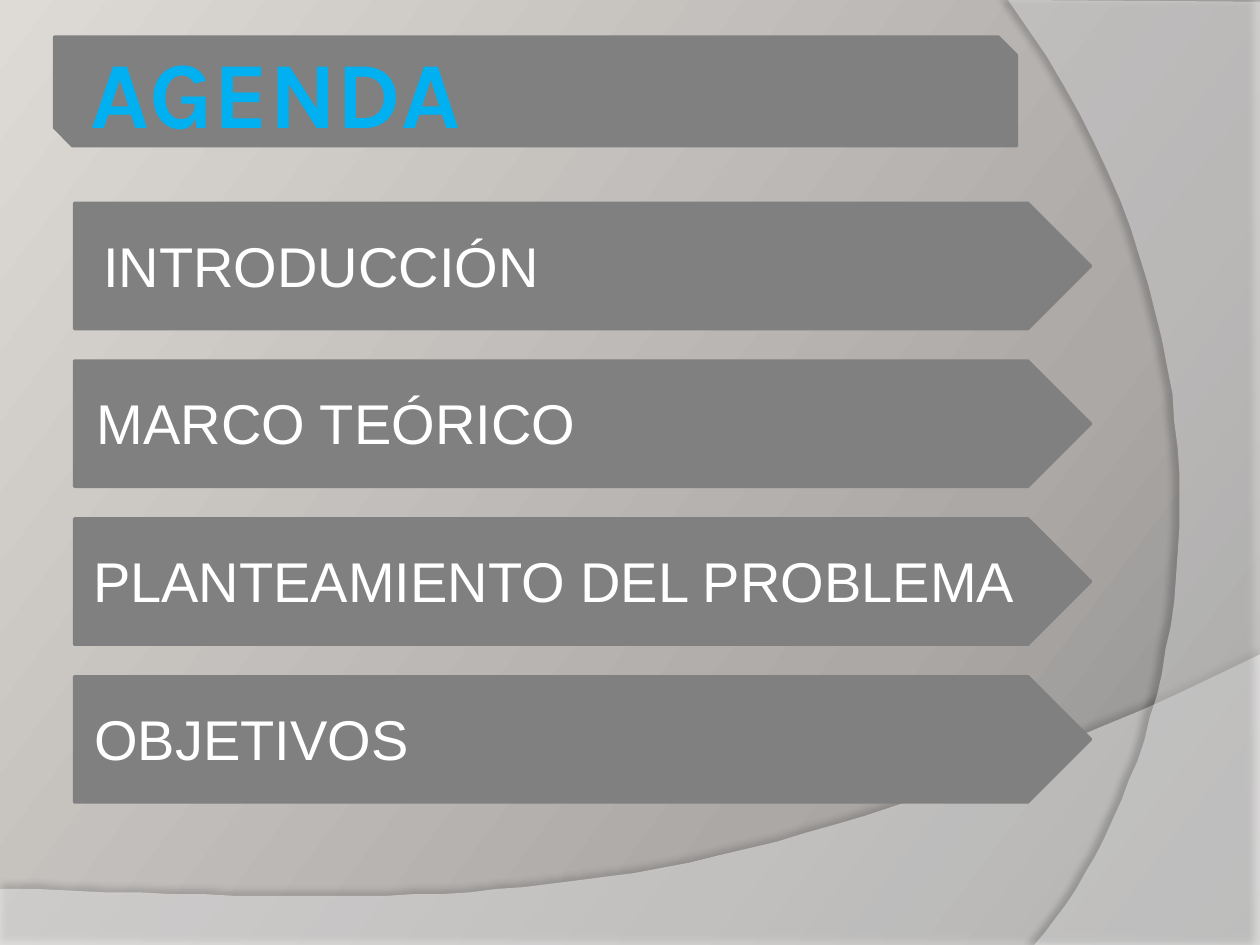
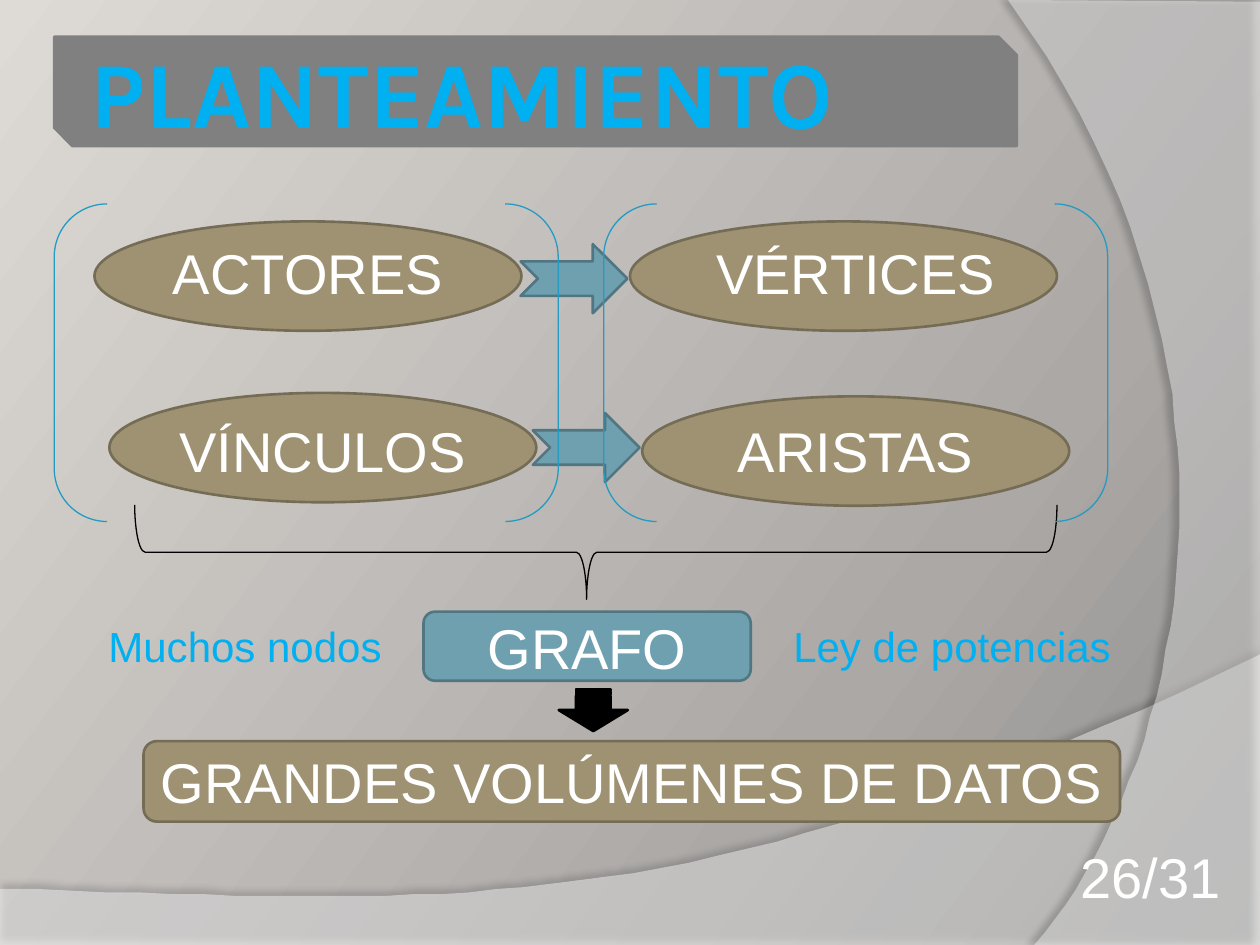
from copy import deepcopy

from lxml.etree import SubElement
from pptx import Presentation
from pptx.dml.color import RGBColor
from pptx.enum.shapes import MSO_SHAPE
from pptx.enum.text import MSO_ANCHOR, PP_ALIGN
from pptx.oxml.ns import qn
from pptx.util import Pt

WIDTH, HEIGHT = 720, 540
BAND, ACCENT, WHITE, BLACK = "808080", "00B0F0", "FFFFFF", "000000"
SAND, SAND_EDGE = "9E9273", "756C55"
TEAL, TEAL_EDGE = "6EA0B0", "517682"
BRACKET = "239BC2"
BACKGROUND = [(0, "8F8D8B"), (0.3, "ABA8A6"), (1, "DEDBD7")]


def color(value):
    return RGBColor.from_string(value)


def add_text(page, text, box, size=32, font="Arial", fill=WHITE, bold=False,
             align=PP_ALIGN.LEFT, anchor=MSO_ANCHOR.TOP, insets=(7.2, 3.6), wrap=True):
    frame = page.shapes.add_textbox(*map(Pt, box)).text_frame
    frame.word_wrap = wrap
    frame.vertical_anchor = anchor
    frame.margin_left = frame.margin_right = Pt(insets[0])
    frame.margin_top = frame.margin_bottom = Pt(insets[1])
    para = frame.paragraphs[0]
    para.alignment = align
    span = para.add_run()
    span.text = text
    span.font.name, span.font.size, span.font.bold = font, Pt(size), bold
    span.font.color.rgb = color(fill)


def add_centered(page, text, box, **style):
    add_text(page, text, box, align=PP_ALIGN.CENTER, wrap=False, **style)


def add_shape(page, kind, box, fill=None, edge=BLACK, weight=1.5, turn=0):
    shape = page.shapes.add_shape(kind, *map(Pt, box))
    shape.shadow.inherit = False
    if fill:
        shape.fill.solid()
        shape.fill.fore_color.rgb = color(fill)
    else:
        shape.fill.background()
    shape.line.color.rgb = color(edge)
    shape.line.width = Pt(weight)
    shape.rotation = turn
    return shape


def curve(start, pull_start, pull_end, end, steps=40):
    """Points along a cubic curve, both ends included."""
    points = []
    for step in range(steps + 1):
        t = step / steps
        weights = (1 - t) ** 3, 3 * t * (1 - t) ** 2, 3 * t * t * (1 - t), t ** 3
        points.append(tuple(sum(w * p for w, p in zip(weights, axis))
                            for axis in zip(start, pull_start, pull_end, end)))
    return points


def add_wave(page, points, opacity, shadow_opacity, distance, direction):
    """Translucent white sheet with a soft shadow."""
    builder = page.shapes.build_freeform(*points[0], scale=float(Pt(1)))
    builder.add_line_segments(points[1:], close=True)
    wave = builder.convert_to_shape()
    wave.shadow.inherit = False
    wave.fill.solid()
    wave.fill.fore_color.rgb = color(WHITE)
    wave.line.fill.background()
    properties = wave.fill._xPr
    tint = properties.find(qn("a:solidFill"))[0]
    SubElement(tint, qn("a:alpha"), val=str(opacity * 1000))
    shadow = SubElement(properties.find(qn("a:effectLst")), qn("a:outerShdw"),
                        blurRad=str(Pt(4)), dist=str(Pt(distance)),
                        dir=str(direction * 60000), algn="ctr", rotWithShape="0")
    shade = SubElement(shadow, qn("a:srgbClr"), val=BLACK)
    SubElement(shade, qn("a:alpha"), val=str(shadow_opacity * 1000))


def add_backdrop(page):
    # Three-stop gradient
    fill = page.background.fill
    fill.gradient()
    fill.gradient_angle = 143
    stop_list = fill._fill._gradFill.find(qn("a:gsLst"))
    stop_list.append(deepcopy(stop_list[-1]))
    for stop, (position, value) in zip(fill.gradient_stops, BACKGROUND):
        stop.position = position
        stop.color.rgb = color(value)
    # Bottom and right sheets
    bottom = curve((WIDTH, 374.4), (402.5, 524.9), (281.5, 517.7), (0, 507.6))
    add_wave(page, bottom + [(0, HEIGHT), (WIDTH, HEIGHT)], 45, 35, 3.5, 270)
    right = curve((591.1, HEIGHT), (673.2, 445.7), (733, 216), (576, 0))
    add_wave(page, right + [(WIDTH, 1.4), (WIDTH, HEIGHT)], 40, 45, 4, 180)


def add_title(page, text, box=(31, 21, 550, 62.5)):
    left, top, width, height = box
    add_shape(page, MSO_SHAPE.SNIP_2_DIAG_RECTANGLE, box, BAND, BAND)
    add_text(page, text, (left + 17.2, top + 4.3, width + 38, height - 9.2), size=54,
             font="Karla", fill=ACCENT, bold=True, anchor=MSO_ANCHOR.MIDDLE, insets=(3.6, 3.6))


def new_page(deck, title):
    page = deck.slides.add_slide(deck.slide_layouts[6])
    add_backdrop(page)
    add_title(page, title)
    return page


def add_agenda(page, box, topics):
    """Equal pentagons, one per topic and its text indent."""
    left, top, width, height = box
    bar = 72
    pitch = (height - bar) / (len(topics) - 1)
    for row, (topic, indent) in enumerate(topics):
        y = top + row * pitch
        add_shape(page, MSO_SHAPE.PENTAGON, (left, y, width, bar), BAND, BAND)
        add_text(page, topic, (left + indent, y + 12.5, width - indent, 46))


def add_mapping(page, box):
    """Network terms on the left, their graph terms on the right."""
    left, top, width, height = box
    terms = [  # text, ellipse x and y, label shift x and y
        ("ACTORES", 23, 10, 0, 6.5),
        ("VÉRTICES", 329, 10, 7, 6.5),
        ("VÍNCULOS", 31.5, 108, 0, 10),
        ("ARISTAS", 336, 110, 0, 8),
    ]
    for _, x, y, _, _ in terms:
        add_shape(page, MSO_SHAPE.OVAL, (left + x, top + y, 244, 62.5), SAND, SAND_EDGE)
    for x, y in [(266.5, 23), (273.5, 119.5)]:
        add_shape(page, MSO_SHAPE.NOTCHED_RIGHT_ARROW, (left + x, top + y, 61, 39.5),
                  TEAL, TEAL_EDGE)
    for text, x, y, shift_x, shift_y in terms:
        add_centered(page, text, (left + x + shift_x, top + y + shift_y, 244, 46))
    # Brackets around each column
    bracket_width = 288
    for x in (left, left + width - bracket_width):
        add_shape(page, MSO_SHAPE.DOUBLE_BRACKET, (x, top, bracket_width, height),
                  edge=BRACKET, weight=0.75)


def add_result(page, box):
    """Brace leading to the graph and then to the large data volume."""
    left, top, width, height = box
    # Brace, turned to open upwards
    length, depth = 527, 54
    brace = add_shape(page, MSO_SHAPE.LEFT_BRACE,
                      (left + 23 + (length - depth) / 2, top - (length - depth) / 2,
                       depth, length), weight=0.75, turn=270)
    brace.adjustments[0], brace.adjustments[1] = 0.11, 0.49
    # Graph and its two traits
    add_shape(page, MSO_SHAPE.ROUNDED_RECTANGLE, (left + 188, top + 61, 187, 39.5),
              TEAL, TEAL_EDGE)
    add_centered(page, "GRAFO", (left + 188, top + 58.5, 187, 46))
    for text, x, trait_width in [("Muchos nodos", 0, 172), ("Ley de potencias", 391, 198)]:
        add_centered(page, text, (left + x, top + 62.5, trait_width, 36), size=24, fill=ACCENT)
    # Downward arrow and conclusion
    add_shape(page, MSO_SHAPE.STRIPED_RIGHT_ARROW, (left + 273, top + 97.5, 24, 39.5),
              BLACK, turn=90)
    conclusion = (left + 28, top + height - 46, width - 28, 46)
    add_shape(page, MSO_SHAPE.FLOWCHART_ALTERNATE_PROCESS, conclusion, SAND, SAND_EDGE)
    add_centered(page, "GRANDES VOLÚMENES DE DATOS", conclusion)


def build_agenda_page(deck):
    page = new_page(deck, "AGENDA")
    add_agenda(page, (42.5, 116, 581, 342.5), [
        ("INTRODUCCIÓN", 9.4), ("MARCO TEÓRICO", 5.8),
        ("PLANTEAMIENTO DEL PROBLEMA", 3.6), ("OBJETIVOS", 4.3)])


def build_approach_page(deck):
    page = new_page(deck, "PLANTEAMIENTO")
    add_result(page, (54, 288.5, 586, 181))
    add_mapping(page, (31, 116.5, 602, 181.5))
    add_text(page, "26/31", (586.8, 491, 110.9, 28.8), align=PP_ALIGN.RIGHT,
             anchor=MSO_ANCHOR.BOTTOM, insets=(0, 0))


def main():
    deck = Presentation()
    deck.slide_width, deck.slide_height = Pt(WIDTH), Pt(HEIGHT)
    build_agenda_page(deck)
    build_approach_page(deck)
    deck.save("out.pptx")


if __name__ == "__main__":
    main()
